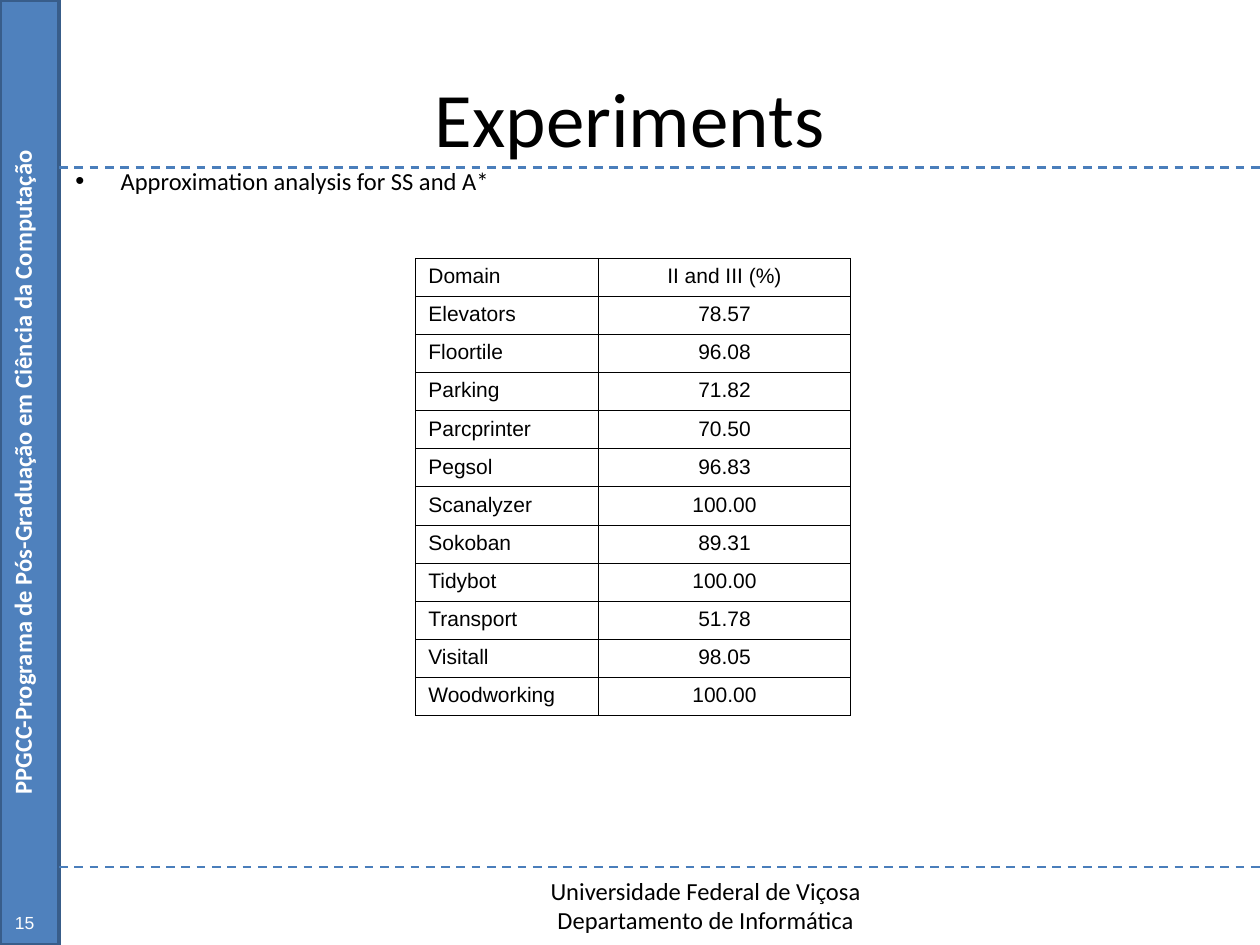
from dataclasses import dataclass
from typing import Optional

from lxml.etree import SubElement
from pptx import Presentation
from pptx.dml.color import RGBColor
from pptx.enum.dml import MSO_LINE_DASH_STYLE as Dash
from pptx.enum.shapes import MSO_CONNECTOR, MSO_SHAPE
from pptx.enum.text import MSO_ANCHOR as Anchor, PP_ALIGN as Align
from pptx.oxml import parse_xml
from pptx.oxml.ns import nsdecls, qn
from pptx.util import Inches, Pt


@dataclass(frozen=True)
class Theme:
    ink: str = "000000"
    light: str = "FFFFFF"
    band: str = "4F81BD"
    band_edge: str = "385D8A"
    rule: str = "4A7EBB"
    heading_font: str = "Calibri"
    data_font: str = "Arial"
    title_size: int = 44
    body_size: int = 14
    table_size: int = 12
    number_size: int = 10


THEME = Theme()


@dataclass(frozen=True)
class Label:
    lines: tuple[str, ...]
    box: tuple[float, float, float, float]
    size: int = THEME.body_size
    font: str = THEME.heading_font
    color: str = THEME.ink
    bold: bool = False
    align: Align = Align.CENTER
    anchor: Anchor = Anchor.TOP
    rotation: int = 0
    wrap: bool = True
    right_inset: float = 0.1
    bullet: Optional[str] = None


@dataclass(frozen=True)
class Result:
    domain: str
    share: str


SLIDE_WIDTH, SLIDE_HEIGHT = 10, 7.5
BAND_WIDTH = 0.47
RULE_HEIGHTS = (1.33, 6.88)
TABLE_BOX = (3.3, 2.05, 3.45, 3.63)
COLUMN_WIDTHS = (1.45, 2)
BULLET_INDENT = 0.36

LABELS = (
    Label(("Experiments",), (0.5, 0.3, 9, 1.25), size=THEME.title_size,
          anchor=Anchor.MIDDLE),
    Label(("Approximation analysis for SS and A*",), (0.5, 1.27, 9, 5.39),
          align=Align.LEFT, bullet="•"),
    Label(("Universidade Federal de Viçosa", "Departamento de Informática"),
          (2.24, 6.9, 6.72, 0.57)),
    Label(("PPGCC-Programa de Pós-Graduação em Ciência da Computação",),
          (-3.57, 3.58, 7.5, 0.34), color=THEME.light, bold=True, rotation=270),
    Label(("15",), (0.02, 7.19, 0.35, 0.3), size=THEME.number_size,
          font=THEME.data_font, color=THEME.light, align=Align.LEFT, wrap=False,
          right_inset=0),
)

RESULTS = (
    Result("Domain", "II and III (%)"),
    Result("Elevators", "78.57"),
    Result("Floortile", "96.08"),
    Result("Parking", "71.82"),
    Result("Parcprinter", "70.50"),
    Result("Pegsol", "96.83"),
    Result("Scanalyzer", "100.00"),
    Result("Sokoban", "89.31"),
    Result("Tidybot", "100.00"),
    Result("Transport", "51.78"),
    Result("Visitall", "98.05"),
    Result("Woodworking", "100.00"),
)


def rgb(color: str) -> RGBColor:
    return RGBColor.from_string(color)


def set_font(paragraph, size: int, font: str, color: str, bold: bool = False) -> None:
    for run in paragraph.runs:
        for attribute, value in {"size": Pt(size), "name": font, "bold": bold}.items():
            setattr(run.font, attribute, value)
        run.font.color.rgb = rgb(color)


def add_bullet(paragraph, character: str) -> None:
    properties = paragraph._p.get_or_add_pPr()
    indent = Inches(BULLET_INDENT)
    properties.set("marL", str(indent))
    properties.set("indent", str(-indent))
    SubElement(properties, qn("a:buSzPct"), val="105000")
    SubElement(properties, qn("a:buFont"), typeface=THEME.data_font)
    SubElement(properties, qn("a:buChar"), char=character)


def draw_label(slide, label: Label) -> None:
    box = slide.shapes.add_textbox(*map(Inches, label.box))
    box.rotation = label.rotation
    frame = box.text_frame
    frame_format = {
        "word_wrap": label.wrap,
        "vertical_anchor": label.anchor,
        "margin_right": Inches(label.right_inset),
    }
    for attribute, value in frame_format.items():
        setattr(frame, attribute, value)
    for index, line in enumerate(label.lines):
        paragraph = frame.add_paragraph() if index else frame.paragraphs[0]
        if label.bullet:
            add_bullet(paragraph, label.bullet)
        paragraph.alignment = label.align
        paragraph.add_run().text = line
        set_font(paragraph, label.size, label.font, label.color, label.bold)


def draw_band(slide) -> None:
    band = slide.shapes.add_shape(MSO_SHAPE.RECTANGLE, 0, 0,
                                  Inches(BAND_WIDTH), Inches(SLIDE_HEIGHT))
    band.shadow.inherit = False
    band.fill.solid()
    band.fill.fore_color.rgb = rgb(THEME.band)
    band.line.color.rgb = rgb(THEME.band_edge)
    band.line.width = Pt(2)


def draw_rule(slide, height: float) -> None:
    rule = slide.shapes.add_connector(
        MSO_CONNECTOR.STRAIGHT, Inches(BAND_WIDTH), Inches(height),
        Inches(SLIDE_WIDTH), Inches(height))
    rule.line.color.rgb = rgb(THEME.rule)
    rule.line.width = Pt(1.25)
    rule.line.dash_style = Dash.DASH
    SubElement(rule._element.spPr, qn("a:effectLst"))


def add_borders(cell) -> None:
    properties = cell._tc.get_or_add_tcPr()
    for position, side in enumerate(("lnL", "lnR", "lnT", "lnB")):
        properties.insert(position, parse_xml(
            f'<a:{side} {nsdecls("a")} w="{Pt(0.57)}"><a:solidFill>'
            f'<a:srgbClr val="{THEME.ink}"/></a:solidFill></a:{side}>'))


def draw_results(slide) -> None:
    table = slide.shapes.add_table(len(RESULTS), len(COLUMN_WIDTHS),
                                   *map(Inches, TABLE_BOX)).table
    table.first_row = table.horz_banding = False
    for column, width in zip(table.columns, COLUMN_WIDTHS):
        column.width = Inches(width)
    for row, result in zip(table.rows, RESULTS):
        row.height = Inches(TABLE_BOX[3] / len(RESULTS))
        entries = ((result.domain, Align.LEFT), (result.share, Align.CENTER))
        for cell, (text, align) in zip(row.cells, entries):
            cell.fill.background()
            add_borders(cell)
            cell.text = text
            paragraph = cell.text_frame.paragraphs[0]
            paragraph.alignment = align
            set_font(paragraph, THEME.table_size, THEME.data_font, THEME.ink)


def main() -> None:
    deck = Presentation()
    deck.slide_width, deck.slide_height = Inches(SLIDE_WIDTH), Inches(SLIDE_HEIGHT)
    slide = deck.slides.add_slide(deck.slide_layouts[6])

    # Side band and dashed rules
    draw_band(slide)
    for height in RULE_HEIGHTS:
        draw_rule(slide, height)

    # Title, bullet, footer, band text and slide number
    for label in LABELS:
        draw_label(slide, label)

    # Results per domain
    draw_results(slide)
    deck.save("out.pptx")


if __name__ == "__main__":
    main()
